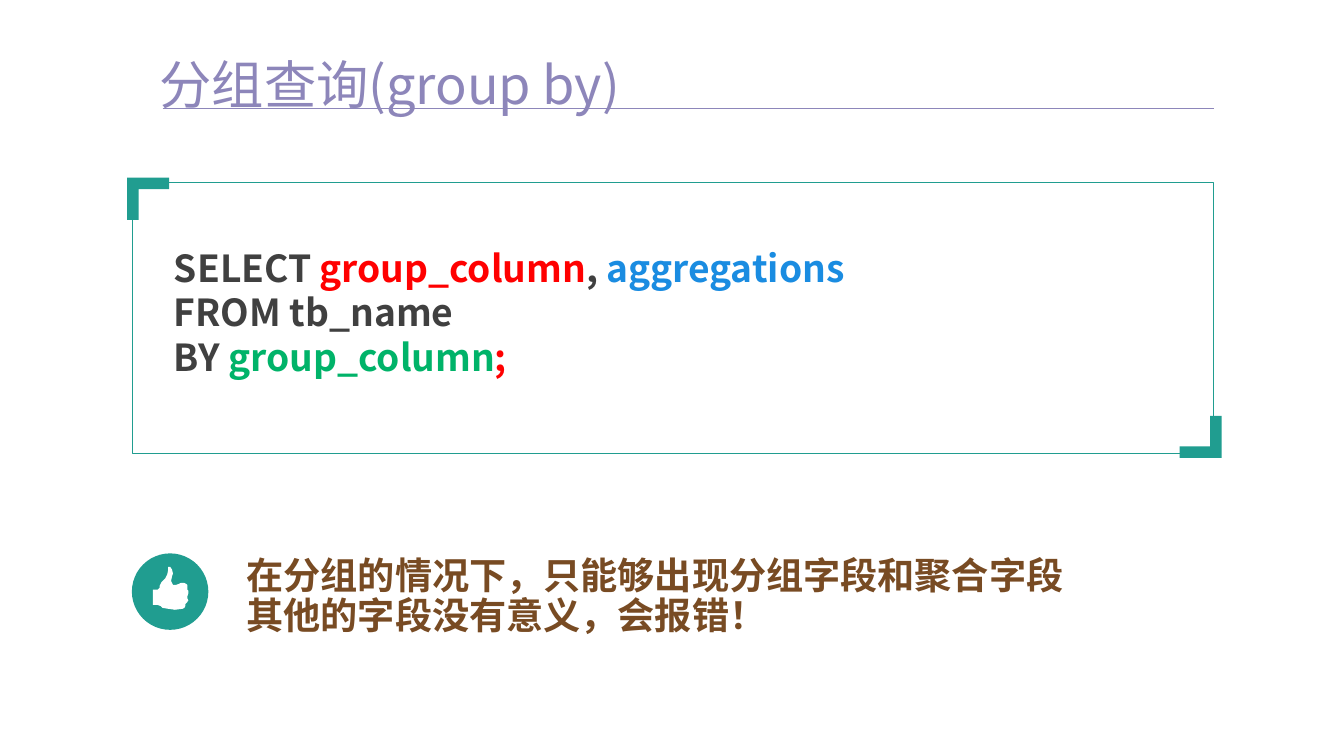
from dataclasses import dataclass

from lxml import etree
from pptx import Presentation
from pptx.dml.color import RGBColor
from pptx.enum.shapes import MSO_CONNECTOR, MSO_SHAPE
from pptx.enum.text import MSO_ANCHOR, MSO_AUTO_SIZE, PP_ALIGN
from pptx.oxml.ns import qn
from pptx.util import Inches, Pt

STRAIGHT = MSO_CONNECTOR.STRAIGHT
RECTANGLE, OVAL = MSO_SHAPE.RECTANGLE, MSO_SHAPE.OVAL
TOP, MIDDLE = MSO_ANCHOR.TOP, MSO_ANCHOR.MIDDLE
NO_FIT = MSO_AUTO_SIZE.NONE
LEFT = PP_ALIGN.LEFT


@dataclass(frozen=True)
class Theme:
    """Colours, font and type sizes of the slide."""
    font: str = "Noto Sans CJK SC"
    lilac: str = "8D86BA"
    teal: str = "209D90"
    dark: str = "404040"
    red: str = "FF0000"
    blue: str = "1A8CE1"
    green: str = "00B369"
    brown: str = "784B23"
    white: str = "FFFFFF"
    title_size: float = 39.4
    text_size: float = 28


T = Theme()

CODE = [
    [("SELECT ", T.dark), ("group_column", T.red), (", ", T.dark), ("aggregations", T.blue)],
    [("FROM tb_name", T.dark)],
    [("BY ", T.dark), ("group_column", T.green), (";", T.red)],
]
NOTE = [
    [("在分组的情况下，只能够出现分组字段和聚合字段", T.brown)],
    [("其他的字段没有意义，会报错！", T.brown)],
]
CORNER = [(0, 0), (44, 0), (44, 12), (12, 12), (12, 44), (0, 44)]
THUMB = [
    (37, 28), (36, 31), (36, 33), (37, 35), (36, 37), (35, 38), (34, 39), (34, 41),
    (33, 43), (31, 44), (23, 45), (16, 44), (10, 43), (8, 41), (5, 40), (0, 40),
    (0, 24), (5, 24), (7, 22), (7, 20), (8, 18), (9, 16), (13, 12), (15, 8),
    (16, 3), (16, 0), (18, 0), (20, 3), (21, 7), (20, 10), (19, 15), (20, 17),
    (21, 19), (22, 19), (24, 19), (27, 18), (29, 17), (33, 17), (35, 18), (36, 19),
    (36, 24), (37, 25), (37, 27),
]


def rgb(colour):
    """Turn a hex string into a colour."""
    return RGBColor.from_string(colour)


def paint(sp, fill=None, line=None, width=0.25):
    """Set fill and outline, and drop the shadow."""
    sp.shadow.inherit = False
    if fill:
        sp.fill.solid()
        sp.fill.fore_color.rgb = rgb(fill)
    else:
        sp.fill.background()
    if line:
        sp.line.color.rgb = rgb(line)
        sp.line.width = Pt(width)
    else:
        sp.line.fill.background()


def outline(s, x, y, points, colour):
    """Draw a closed outline given in hundredths of an inch."""
    fb = s.shapes.build_freeform(*points[0], scale=Inches(0.01))
    fb.add_line_segments(points[1:], close=True)
    sp = fb.convert_to_shape(Inches(x), Inches(y))
    paint(sp, colour)
    return sp


def write(sp, paragraphs, size, spacing, bold=False, gap=0, anchor=TOP):
    """Write paragraphs of coloured runs at a fixed line spacing."""
    tf = sp.text_frame
    tf.word_wrap = True
    tf.auto_size = NO_FIT
    tf.vertical_anchor = anchor
    tf.margin_left = tf.margin_top = tf.margin_right = tf.margin_bottom = 0
    for i, runs in enumerate(paragraphs):
        p = tf.add_paragraph() if i else tf.paragraphs[0]
        p.alignment = LEFT
        p.line_spacing = Pt(spacing)
        p.space_before = Pt(gap if i else 0)
        for text, colour in runs:
            r = p.add_run()
            r.text = text
            r.font.size = Pt(size)
            r.font.bold = bold
            r.font.name = T.font
            r.font.color.rgb = rgb(colour)
            etree.SubElement(r.font._element, qn("a:ea"), typeface=T.font)


def add_heading(s, x, y, w, h):
    """Place the title above its rule."""
    sp = s.shapes.title
    sp.left, sp.top, sp.width, sp.height = map(Inches, (x, y + 0.07, w, h))
    write(sp, [[("分组查询(group by)", T.lilac)]], T.title_size, 47.5)
    rule = s.shapes.add_connector(
        STRAIGHT, Inches(x + 0.03), Inches(y + h), Inches(x + w), Inches(y + h))
    rule.line.color.rgb = rgb(T.lilac)
    rule.line.width = Pt(0.5)
    etree.SubElement(rule._element.spPr, qn("a:effectLst"))


def add_code_panel(s, x, y, w, h):
    """Frame the query and mark two opposite corners."""
    frame = s.shapes.add_shape(RECTANGLE, *map(Inches, (x, y, w, h)))
    paint(frame, line=T.teal)
    box = s.shapes.add_textbox(*map(Inches, (x + 0.44, y + 0.65, w - 0.93, 1.41)))
    write(box, CODE, T.text_size, 33.8, bold=True)
    outline(s, x - 0.05, y - 0.05, CORNER, T.teal)
    outline(s, x + w - 0.35, y + h - 0.39, CORNER, T.teal).rotation = 180


def add_note(s, x, y, w, h):
    """Place the thumb badge and the remark beside it."""
    badge = s.shapes.add_shape(OVAL, *map(Inches, (x, y, h, h)))
    paint(badge, T.teal)
    outline(s, x + 0.22, y + 0.14, THUMB, T.white)
    box = s.shapes.add_textbox(*map(Inches, (x + 1.2, y + 0.23, w - 1.2, 0.67)))
    write(box, NOTE, T.text_size, 15, bold=True, gap=15, anchor=MIDDLE)


def main():
    """Build the slide and save it."""
    prs = Presentation()
    prs.slide_width, prs.slide_height = Inches(14.06), Inches(7.91)
    s = prs.slides.add_slide(prs.slide_layouts[5])
    add_heading(s, 1.67, 0.47, 11.03, 0.66)
    add_code_panel(s, 1.38, 1.91, 11.31, 2.83)
    add_note(s, 1.38, 5.79, 10.98, 0.8)
    prs.save("out.pptx")


if __name__ == "__main__":
    main()
